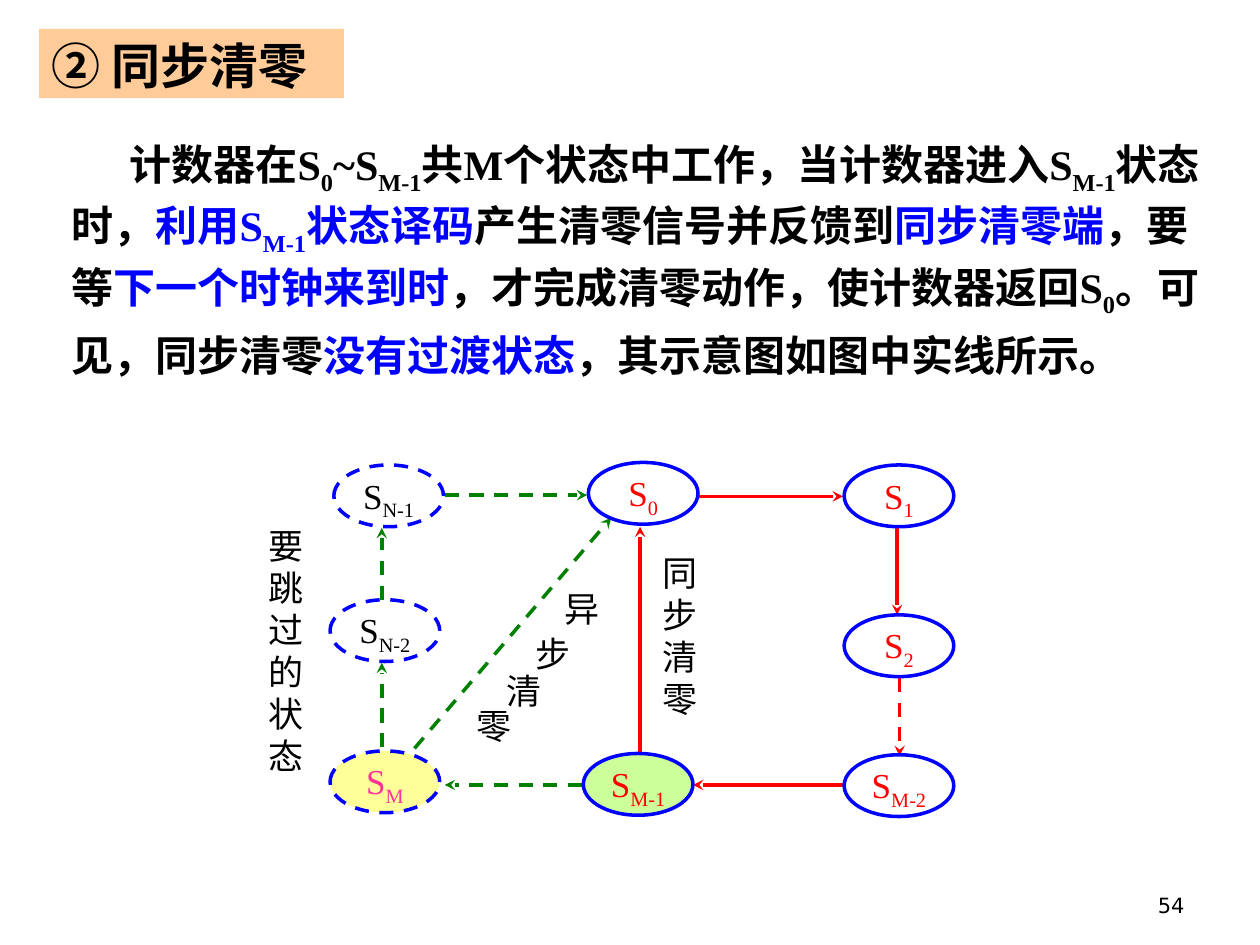
import pptx
import pptx.util
import pptx.dml.color
import pptx.enum.dml
import pptx.enum.shapes
import pptx.enum.text
import pptx.oxml.ns
import lxml.etree

Inches, Pt = pptx.util.Inches, pptx.util.Pt
Align, Anchor = pptx.enum.text.PP_ALIGN, pptx.enum.text.MSO_ANCHOR
Shape = pptx.enum.shapes.MSO_SHAPE
Link = pptx.enum.shapes.MSO_CONNECTOR
Dash = pptx.enum.dml.MSO_LINE
SERIF = "Times New Roman"
BLACK, BLUE, RED, GREEN = "000000", "0000FF", "FF0000", "008000"


def color(code):
    return pptx.dml.color.RGBColor.from_string(code)


def style(para, size, name=SERIF, code=BLACK, bold=False, align=None):
    font = para.font
    font.size, font.name, font.bold = Pt(size), name, bold
    if code:
        font.color.rgb = color(code)
    para.alignment = align


def frame(shape, pad=True, anchor=Anchor.TOP):
    text = shape.text_frame
    text.word_wrap = True
    text.vertical_anchor = anchor
    text.margin_left = text.margin_right = Inches(0.1 if pad else 0)
    text.margin_top = text.margin_bottom = Inches(0.05 if pad else 0)
    return text.paragraphs[0]


def area(left, top, width, height):
    return [Inches(v) for v in (left, top, width, height)]


def add_runs(para, words, code=None):
    for i, word in enumerate(words.split("_")):
        if not word:
            continue
        run = para.add_run()
        run.text = word
        if code:
            run.font.color.rgb = color(code)
        if i % 2:
            run._r.get_or_add_rPr().set("baseline", "-25000")


def add_head(slide, box):
    shape = slide.shapes.add_shape(Shape.RECTANGLE, *area(*box))
    shape.shadow.inherit = False
    shape.fill.solid()
    shape.fill.fore_color.rgb = color("FFCC99")
    shape.line.fill.background()
    para = frame(shape)
    para.text = "② 同步清零"
    style(para, 28, "Calibri", bold=True, align=Align.LEFT)


def add_body(slide, box):
    para = frame(slide.shapes.add_textbox(*area(*box)))
    props = para._p.get_or_add_pPr()
    props.set("marL", "0")
    props.set("indent", str(Inches(0.46)))
    para.line_spacing = Pt(35)
    style(para, 24, code=None, bold=True)
    parts = [
        ("计数器在S_0_~S_M-1_共M个状态中工作，当计数器进入S_M-1_状态时，", BLACK),
        ("利用S_M-1_状态译码", BLUE),
        ("产生清零信号并反馈到", BLACK),
        ("同步清零端", BLUE),
        ("，要等", BLACK),
        ("下一个时钟来到时", BLUE),
        ("，才完成清零动作，使计数器返回S_0_。可见，同步清零", BLACK),
        ("没有过渡状态", BLUE),
        ("，其示意图如图中实线所示。", BLACK),
    ]
    for words, code in parts:
        add_runs(para, words, code)


def add_state(slide, left, top, words, code, dash=False, fill=None):
    shape = slide.shapes.add_shape(Shape.OVAL, *area(left, top, 0.87, 0.49))
    shape.shadow.inherit = False
    if fill:
        shape.fill.solid()
        shape.fill.fore_color.rgb = color(fill)
    else:
        shape.fill.background()
    shape.line.color.rgb = color(BLUE)
    shape.line.width = Pt(2)
    if dash:
        shape.line.dash_style = Dash.DASH
    para = frame(shape, False)
    style(para, 20, code=code, align=Align.CENTER)
    add_runs(para, words)


def add_arrow(slide, start, end, code, dash):
    line = slide.shapes.add_connector(Link.STRAIGHT, *area(*start, *end))
    line.line.color.rgb = color(code)
    line.line.width = Pt(2)
    if dash:
        line.line.dash_style = Dash.DASH
    qn = pptx.oxml.ns.qn
    tip = lxml.etree.SubElement(line.line._get_or_add_ln(), qn("a:tailEnd"))
    tip.set("type", "stealth")
    lxml.etree.SubElement(line._element.spPr, qn("a:effectLst"))


def add_label(slide, left, top, height, words):
    para = frame(slide.shapes.add_textbox(*area(left, top, 0.35, height)), False)
    para.text = words
    style(para, 20, align=Align.JUSTIFY)


def add_graph(slide, box):
    x, y = box[:2]
    labels = [
        (0, 0.49, 2.02, "要跳过的状态"),
        (3.13, 0.71, 1.45, "同步清零"),
        (2.35, 0.99, 0.28, "异"),
        (2.12, 1.35, 0.28, "步"),
        (1.89, 1.64, 0.28, "清"),
        (1.65, 1.92, 0.28, "零"),
    ]
    arrows = [
        ((1.4, 0.26), (2.53, 0.26), GREEN, True),
        ((4.99, 0.52), (4.99, 1.21), RED, False),
        ((5.01, 1.71), (5.01, 2.33), RED, True),
        ((4.56, 2.56), (3.37, 2.56), RED, False),
        ((2.49, 2.56), (1.4, 2.56), GREEN, True),
        ((0.9, 2.26), (0.9, 1.59), GREEN, True),
        ((0.9, 1.09), (0.9, 0.52), GREEN, True),
        ((2.95, 2.3), (2.95, 0.51), RED, False),
        ((1.16, 2.27), (2.72, 0.44), GREEN, True),
        ((3.4, 0.27), (4.56, 0.27), RED, False),
    ]
    states = [
        (0.52, 0.02, "S_N-1", BLACK, True),
        (2.54, 0, "S_0", RED),
        (4.57, 0.02, "S_1", RED),
        (4.57, 1.21, "S_2", RED),
        (4.57, 2.32, "S_M-2", RED),
        (2.5, 2.31, "S_M-1", RED, False, "CCFF99"),
        (0.49, 1.09, "S_N-2", BLACK, True),
        (0.49, 2.29, "S_M", "FF3399", True, "FFFF99"),
    ]
    for left, top, height, words in labels:
        add_label(slide, x + left, y + top, height, words)
    for start, end, code, dash in arrows:
        ends = [(x + a, y + b) for a, b in (start, end)]
        add_arrow(slide, *ends, code, dash)
    for left, top, *rest in states:
        add_state(slide, x + left, y + top, *rest)


def add_number(slide, box):
    para = frame(slide.shapes.add_textbox(*area(*box)), anchor=Anchor.BOTTOM)
    para.text = "54"
    style(para, 12, "DejaVu Sans", align=Align.RIGHT)


def main():
    deck = pptx.Presentation()
    deck.slide_width, deck.slide_height = Inches(10), Inches(7.5)
    slide = deck.slides.add_slide(deck.slide_layouts[6])
    add_body(slide, (0.47, 1.02, 9.21, 2.53))
    add_graph(slide, (2.13, 3.67, 5.44, 2.81))
    add_head(slide, (0.31, 0.23, 2.42, 0.55))
    add_number(slide, (7.17, 6.83, 2.33, 0.5))
    deck.save("out.pptx")


if __name__ == "__main__":
    main()
